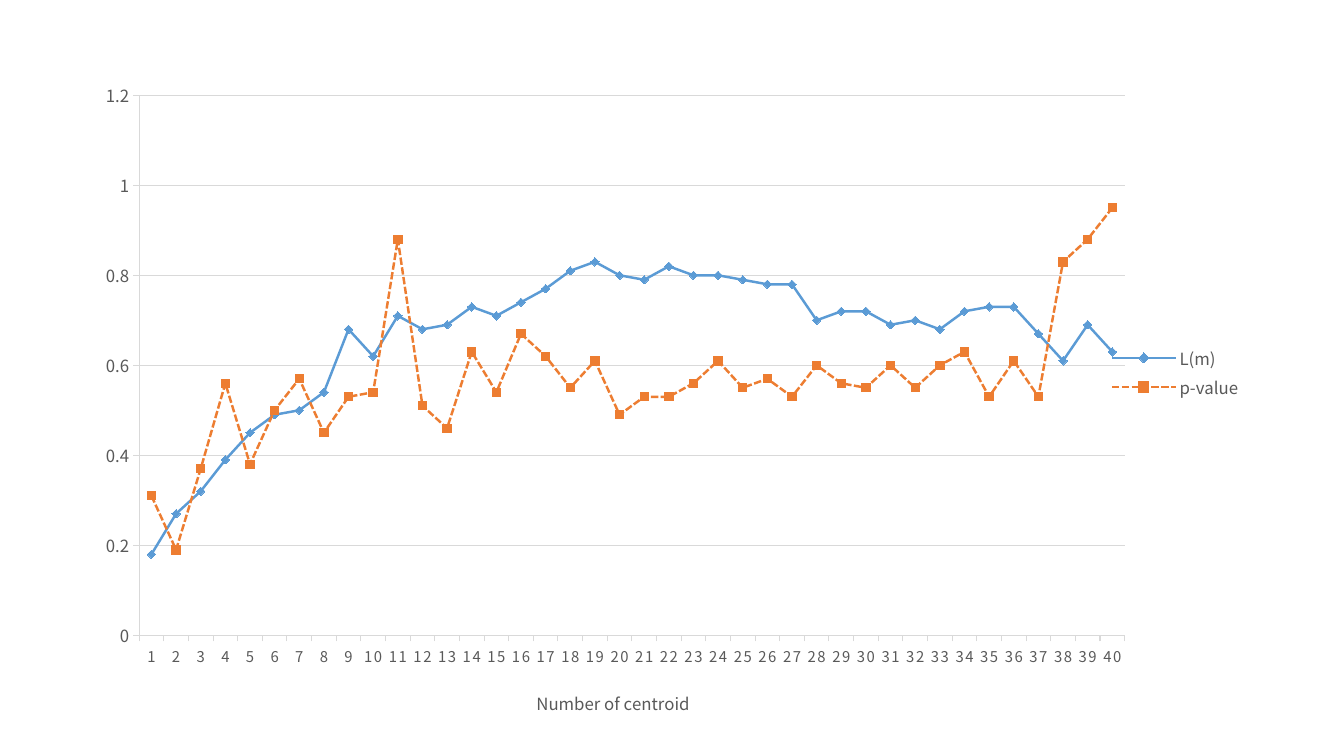
from pptx import Presentation
from pptx.chart.data import CategoryChartData
from pptx.dml.color import RGBColor
from pptx.enum.chart import XL_CHART_TYPE, XL_LEGEND_POSITION, XL_MARKER_STYLE, XL_TICK_MARK
from pptx.enum.dml import MSO_LINE
from pptx.oxml import parse_xml
from pptx.oxml.ns import nsdecls
from pptx.util import Inches, Pt

FONT = "Noto Sans CJK KR"
GREY, RULE = "595959", "D9D9D9"

L_M = [0.18, 0.27, 0.32, 0.39, 0.45, 0.49, 0.5, 0.54, 0.68, 0.62,
       0.71, 0.68, 0.69, 0.73, 0.71, 0.74, 0.77, 0.81, 0.83, 0.8,
       0.79, 0.82, 0.8, 0.8, 0.79, 0.78, 0.78, 0.7, 0.72, 0.72,
       0.69, 0.7, 0.68, 0.72, 0.73, 0.73, 0.67, 0.61, 0.69, 0.63]
P_VALUE = [0.31, 0.19, 0.37, 0.56, 0.38, 0.5, 0.57, 0.45, 0.53, 0.54,
           0.88, 0.51, 0.46, 0.63, 0.54, 0.67, 0.62, 0.55, 0.61, 0.49,
           0.53, 0.53, 0.56, 0.61, 0.55, 0.57, 0.53, 0.6, 0.56, 0.55,
           0.6, 0.55, 0.6, 0.63, 0.53, 0.61, 0.53, 0.83, 0.88, 0.95]


def rgb(color):
    return RGBColor.from_string(color)


def set_font(font, size):
    font.name = FONT
    font.size = Pt(size)
    font.bold = False
    font.color.rgb = rgb(GREY)


def set_line(line, color, width):
    line.color.rgb = rgb(color)
    line.width = Pt(width)


def place(element, index, target="", **fractions):
    """Give a chart part a manual layout in fractions of the chart."""
    for old in element.xpath("c:layout"):
        element.remove(old)
    inner = f'<c:layoutTarget val="{target}"/>' if target else ""
    inner += "".join(f'<c:{k}Mode val="edge"/>' for k in "xy")
    inner += "".join(f'<c:{k} val="{v}"/>' for k, v in fractions.items())
    element.insert(index, parse_xml(
        f'<c:layout {nsdecls("c")}><c:manualLayout>{inner}</c:manualLayout></c:layout>'))


def style_axis(axis, size):
    set_font(axis.tick_labels.font, size)
    set_line(axis.format.line, RULE, 0.75)
    axis.major_tick_mark = XL_TICK_MARK.OUTSIDE
    axis.minor_tick_mark = XL_TICK_MARK.NONE


def style_series(series, color, marker, dash=None):
    series.smooth = False
    set_line(series.format.line, color, 1.75)
    if dash:
        series.format.line.dash_style = dash
    series.marker.style = marker
    series.marker.size = 6
    series.marker.format.fill.solid()
    series.marker.format.fill.fore_color.rgb = rgb(color)
    set_line(series.marker.format.line, color, 0.75)


def add_line_chart(s):
    data = CategoryChartData()
    data.categories = [str(n) for n in range(1, len(L_M) + 1)]
    data.add_series("L(m)", L_M)
    data.add_series("p-value", P_VALUE)
    chart = s.shapes.add_chart(XL_CHART_TYPE.LINE_MARKERS, Inches(0.92), Inches(0.17),
                               Inches(11.5), Inches(7.05), data).chart
    chart.has_title = False
    set_font(chart.font, 12)

    # Series
    plot = chart.plots[0]
    plot.vary_by_categories = False
    style_series(plot.series[0], "5B9BD5", XL_MARKER_STYLE.DIAMOND)
    style_series(plot.series[1], "ED7D31", XL_MARKER_STYLE.SQUARE, MSO_LINE.SQUARE_DOT)

    # Axes
    cat, val = chart.category_axis, chart.value_axis
    style_axis(cat, 10.6)
    style_axis(val, 12)
    val.minimum_scale, val.maximum_scale, val.major_unit = 0, 1.2, 0.2
    val.tick_labels.number_format = "General"
    val.tick_labels.number_format_is_linked = False
    val.has_major_gridlines = True
    set_line(val.major_gridlines.format.line, RULE, 0.75)
    r = cat.axis_title.text_frame.paragraphs[0].add_run()
    r.text = "Number of centroid"
    set_font(r.font, 12)

    # Legend
    chart.has_legend = True
    chart.legend.position = XL_LEGEND_POSITION.RIGHT
    chart.legend.include_in_layout = False
    set_font(chart.legend.font, 12)

    # Layout and letter spacing
    root = chart._chartSpace
    place(root.xpath(".//c:plotArea")[0], 0, "inner", x=0.04, y=0.11, w=0.85, h=0.76)
    place(root.xpath(".//c:catAx/c:title")[0], 1, x=0.38, y=0.94)
    root.xpath(".//c:catAx/c:txPr//a:defRPr")[0].set("spc", "120")


def main():
    prs = Presentation()
    prs.slide_width, prs.slide_height = Inches(13.33), Inches(7.5)
    s = prs.slides.add_slide(prs.slide_layouts[6])
    add_line_chart(s)
    prs.save("out.pptx")


if __name__ == "__main__":
    main()
